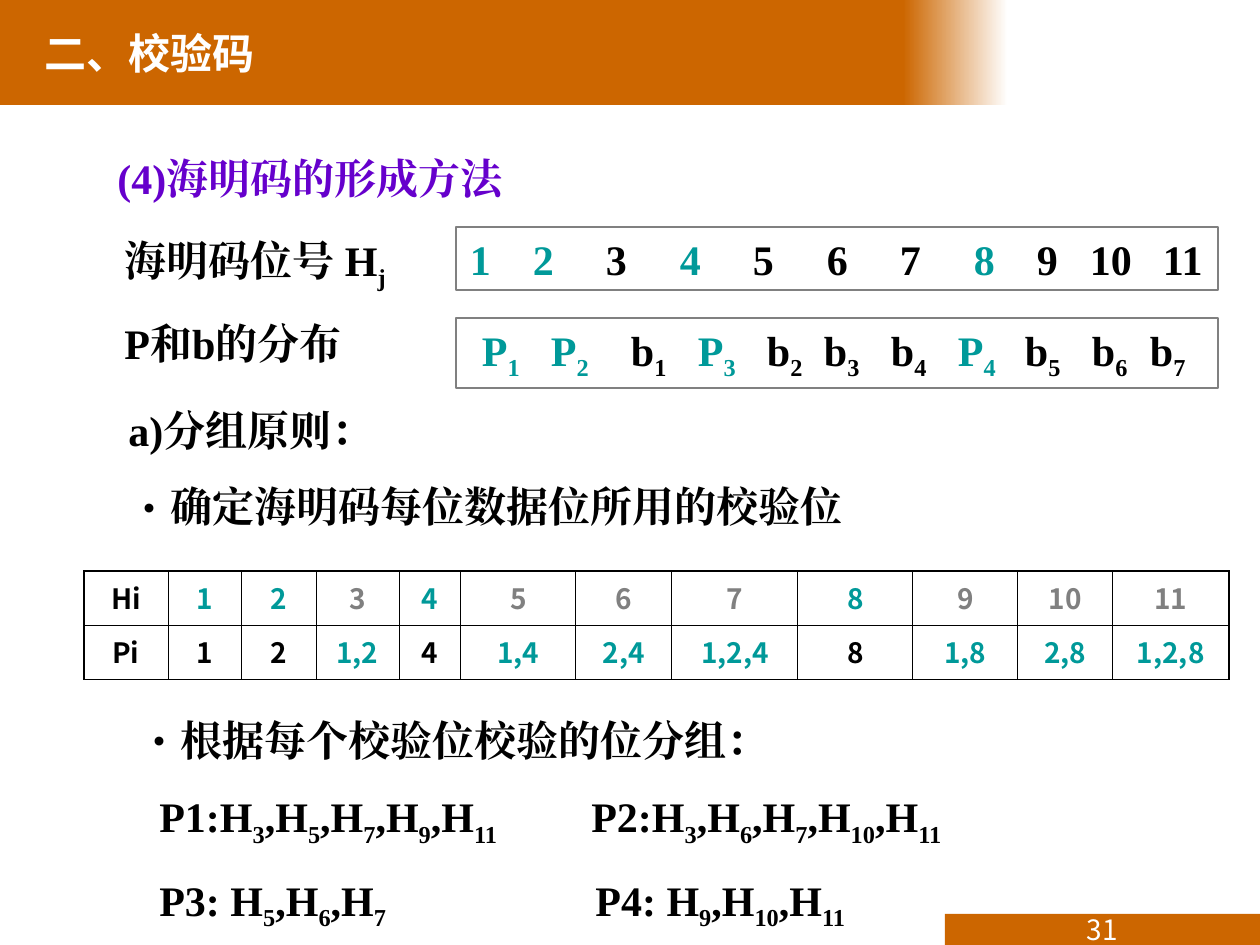
from lxml import etree
from pptx import Presentation
from pptx.dml.color import RGBColor
from pptx.enum.shapes import MSO_SHAPE
from pptx.enum.text import MSO_ANCHOR, MSO_AUTO_SIZE, PP_ALIGN
from pptx.oxml.ns import qn
from pptx.util import Emu, Pt

PX_PER_INCH = 126
TITLE_ONLY = 5
RECT = MSO_SHAPE.RECTANGLE
TOP, MIDDLE = MSO_ANCHOR.TOP, MSO_ANCHOR.MIDDLE
LEFT, CENTER = PP_ALIGN.LEFT, PP_ALIGN.CENTER
FIXED = MSO_AUTO_SIZE.NONE

ORANGE = RGBColor(0xCC, 0x66, 0x00)
PURPLE = RGBColor(0x66, 0x00, 0xCC)
TEAL = RGBColor(0x00, 0x99, 0x99)
GRAY = RGBColor(0x80, 0x80, 0x80)
BLACK = RGBColor(0, 0, 0)
WHITE = RGBColor(0xFF, 0xFF, 0xFF)
SERIF, SANS = "Times New Roman", "Noto Sans CJK SC"

CHECK_BITS = (1, 2, 4, 8)
POSITIONS = range(1, 12)
BIT_NAMES = ["P{1}", "P{2}", "b{1}", "P{3}", "b{2}", "b{3}", "b{4}", "P{4}", "b{5}", "b{6}", "b{7}"]
POSITION_LEFTS = [470, 533, 606, 680, 753, 827, 900, 974, 1037, 1090, 1163]
BIT_LEFTS = [482, 551, 631, 698, 767, 824, 891, 958, 1025, 1092, 1150]
COLUMN_WIDTHS = [84, 73, 75, 83, 62, 115, 96, 126, 115, 105, 95, 116]


def px(length):
    """Turn pixels into EMU."""
    return Emu(round(length * 914400 / PX_PER_INCH))


def add_text(paragraph, text, color=BLACK, size=24, font=SERIF, bold=True):
    """Append text to a paragraph, lowering the parts in braces."""
    for index, part in enumerate(text.replace("}", "{").split("{")):
        if not part:
            continue
        run = paragraph.add_run()
        run.text = part
        run.font.size, run.font.bold, run.font.name = Pt(size), bold, font
        run.font.color.rgb = color
        properties = run.font._element
        etree.SubElement(properties, qn("a:ea"), typeface=font)
        if index % 2:
            properties.set("baseline", "-25000")


def set_tabs(paragraph, stops):
    """Give a paragraph left tab stops."""
    tabs = etree.SubElement(paragraph._p.get_or_add_pPr(), qn("a:tabLst"))
    for stop in stops:
        etree.SubElement(tabs, qn("a:tab"), pos=str(px(stop)), algn="l")


def set_bullet(paragraph):
    """Give a paragraph a full-width round bullet."""
    properties = paragraph._p.get_or_add_pPr()
    properties.set("marL", str(px(42)))
    properties.set("indent", str(-px(42)))
    etree.SubElement(properties, qn("a:buFont"), typeface=SANS)
    etree.SubElement(properties, qn("a:buChar"), char="•")


def prepare_frame(shape, anchor=TOP):
    """Set wrapping and anchor of a shape and return its text frame."""
    frame = shape.text_frame
    frame.word_wrap, frame.auto_size, frame.vertical_anchor = True, FIXED, anchor
    return frame


def add_label(slide, left, top, width, height, text="", **style):
    """Add a text box and return its frame."""
    frame = prepare_frame(slide.shapes.add_textbox(px(left), px(top), px(width), px(height)))
    add_text(frame.paragraphs[0], text, **style)
    return frame


def add_spaced_paragraph(frame):
    """Add a paragraph with the space that parts the lines."""
    paragraph = frame.add_paragraph()
    paragraph.space_before = Pt(15)
    return paragraph


def add_rectangle(slide, left, top, width, height):
    """Add a rectangle without line and shadow."""
    rectangle = slide.shapes.add_shape(RECT, px(left), px(top), px(width), px(height))
    rectangle.shadow.inherit = False
    rectangle.line.fill.background()
    return rectangle


def add_bar(slide, *place):
    """Add an orange bar."""
    bar = add_rectangle(slide, *place)
    bar.fill.solid()
    bar.fill.fore_color.rgb = ORANGE
    return bar


def add_header(slide):
    """Draw the header with its fading end and the title on it."""
    band = add_bar(slide, 0, 0, 914, 105)
    fade = add_rectangle(slide, 903, 0, 105, 105)
    fade.fill.gradient()
    fade.fill.gradient_angle = 0
    for stop, color in zip(fade.fill.gradient_stops, (ORANGE, WHITE)):
        stop.color.rgb = color
    title = slide.shapes.title
    for part in (band, fade):
        title._element.addprevious(part._element)
    title.left, title.top, title.width, title.height = px(32), px(21), px(536), px(63)
    paragraph = prepare_frame(title).paragraphs[0]
    paragraph.alignment = LEFT
    add_text(paragraph, "二、校验码", color=WHITE, font=SANS)


def add_sequence(slide, top, height, items, lefts, colors):
    """Draw a framed row of items, each at its own tab stop."""
    box_left = 456
    box = add_rectangle(slide, box_left, top, 762, height)
    box.fill.background()
    box.line.color.rgb, box.line.width = GRAY, Pt(0.75)
    frame = prepare_frame(box, MIDDLE)
    frame.margin_left = px(lefts[0] - box_left)
    paragraph = frame.paragraphs[0]
    paragraph.alignment = LEFT
    set_tabs(paragraph, [left - lefts[0] for left in lefts[1:]])
    for index, (item, color) in enumerate(zip(items, colors)):
        add_text(paragraph, "\t" + item if index else item, color=color)


def set_borders(cell, widths):
    """Draw the left, right, top and bottom borders of a cell."""
    properties = cell._tc.get_or_add_tcPr()
    for side, width in zip("LRTB", widths):
        line = etree.SubElement(properties, qn("a:ln" + side), w=str(Pt(width)))
        fill = etree.SubElement(line, qn("a:solidFill"))
        etree.SubElement(fill, qn("a:srgbClr"), val=str(BLACK))


def add_check_table(slide):
    """Tabulate the check bits that cover each position."""
    covers = [",".join(str(bit) for bit in CHECK_BITS if position & bit) for position in POSITIONS]
    rows = [
        [("Hi", BLACK)] + [(str(p), TEAL if p in CHECK_BITS else GRAY) for p in POSITIONS],
        [("Pi", BLACK)] + [(cover, TEAL if "," in cover else BLACK) for cover in covers],
    ]
    thick, thin, row_height = 1.08, 0.45, 54
    last = len(COLUMN_WIDTHS) - 1
    table = slide.shapes.add_table(len(rows), last + 1, px(84), px(571),
                                   px(sum(COLUMN_WIDTHS)), px(row_height * len(rows))).table
    table.first_row = table.horz_banding = False
    for column, width in zip(table.columns, COLUMN_WIDTHS):
        column.width = px(width)
    for r, row in enumerate(rows):
        table.rows[r].height = px(row_height)
        for c, (text, color) in enumerate(row):
            cell = table.cell(r, c)
            set_borders(cell, (thick if c == 0 else thin, thick if c == last else thin,
                               thick if r == 0 else thin, thin))
            cell.fill.background()
            paragraph = cell.text_frame.paragraphs[0]
            paragraph.alignment = CENTER
            add_text(paragraph, text, color=color, size=16, font=SANS)


def add_groups(slide):
    """List the positions that each check bit covers."""
    frame = add_label(slide, 126, 708, 958, 231)
    heading = frame.paragraphs[0]
    set_bullet(heading)
    add_text(heading, "根据每个校验位校验的位分组：")
    for text, second_stop in (
        ("\tP1:H{3},H{5},H{7},H{9},H{11}\tP2:H{3},H{6},H{7},H{10},H{11}", 453),
        ("\tP3: H{5},H{6},H{7}\tP4: H{9},H{10},H{11}", 457),
    ):
        paragraph = add_spaced_paragraph(frame)
        set_tabs(paragraph, (21, second_stop))
        add_text(paragraph, text)


def main():
    """Build the slide on Hamming codes."""
    deck = Presentation()
    deck.slide_width, deck.slide_height = px(1260), px(945)
    slide = deck.slides.add_slide(deck.slide_layouts[TITLE_ONLY])
    add_header(slide)

    page = prepare_frame(add_bar(slide, 945, 914, 315, 31), MIDDLE).paragraphs[0]
    page.alignment = CENTER
    add_text(page, "31", color=WHITE, size=16, font=SANS, bold=False)

    add_label(slide, 105, 146, 486, 63, "(4)海明码的形成方法", color=PURPLE)
    add_label(slide, 112, 228, 305, 70, "海明码位号 H{j}")
    add_sequence(slide, 227, 63, [str(p) for p in POSITIONS], POSITION_LEFTS,
                 [TEAL if p in CHECK_BITS else BLACK for p in POSITIONS])
    add_label(slide, 112, 311, 305, 63, "P和b的分布")
    add_sequence(slide, 318, 70, BIT_NAMES, BIT_LEFTS,
                 [TEAL if name.startswith("P") else BLACK for name in BIT_NAMES])

    principle = add_spaced_paragraph(add_label(slide, 116, 398, 1144, 140, "a)分组原则："))
    set_bullet(principle)
    add_text(principle, "确定海明码每位数据位所用的校验位")

    add_check_table(slide)
    add_groups(slide)
    deck.save("out.pptx")


if __name__ == "__main__":
    main()
